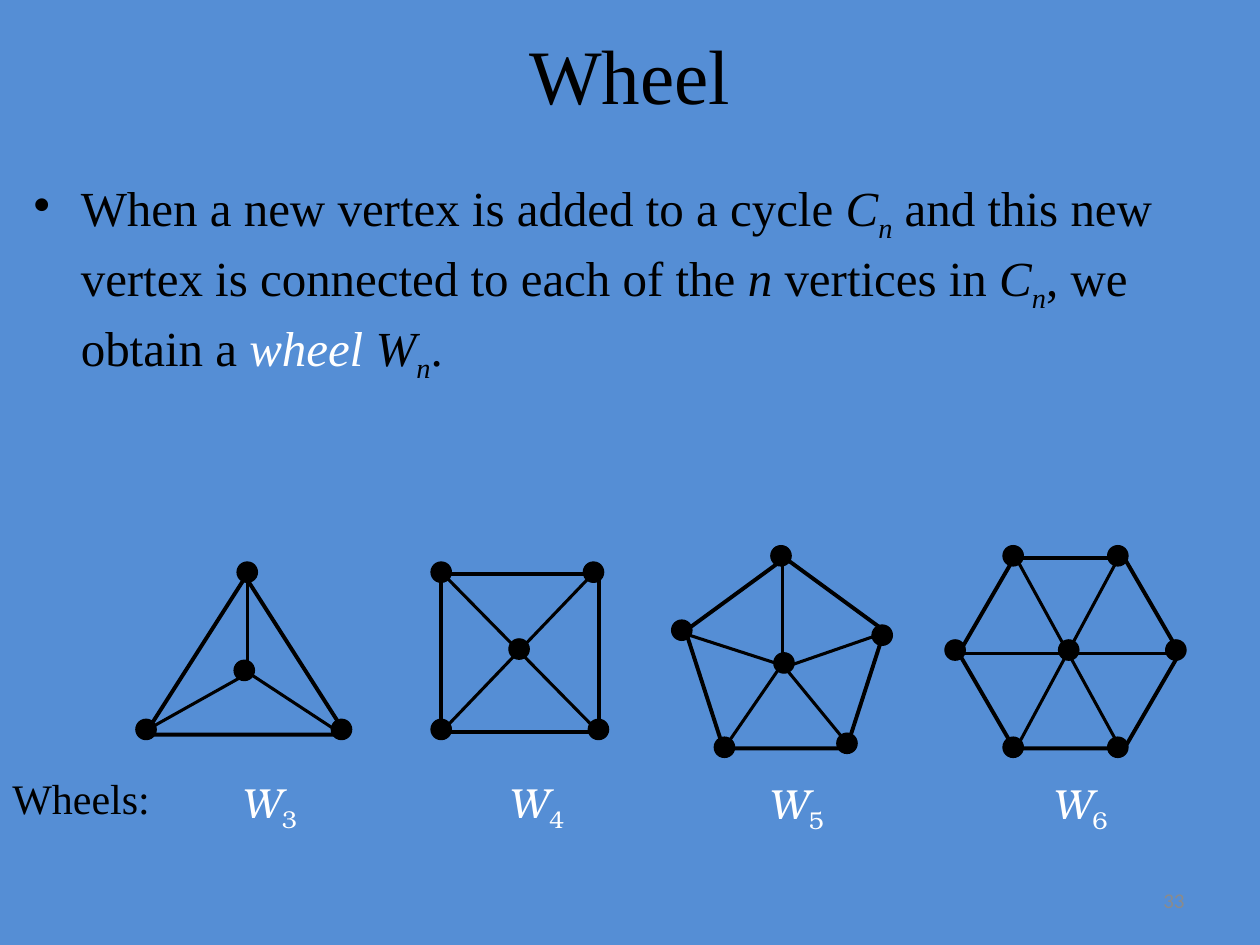
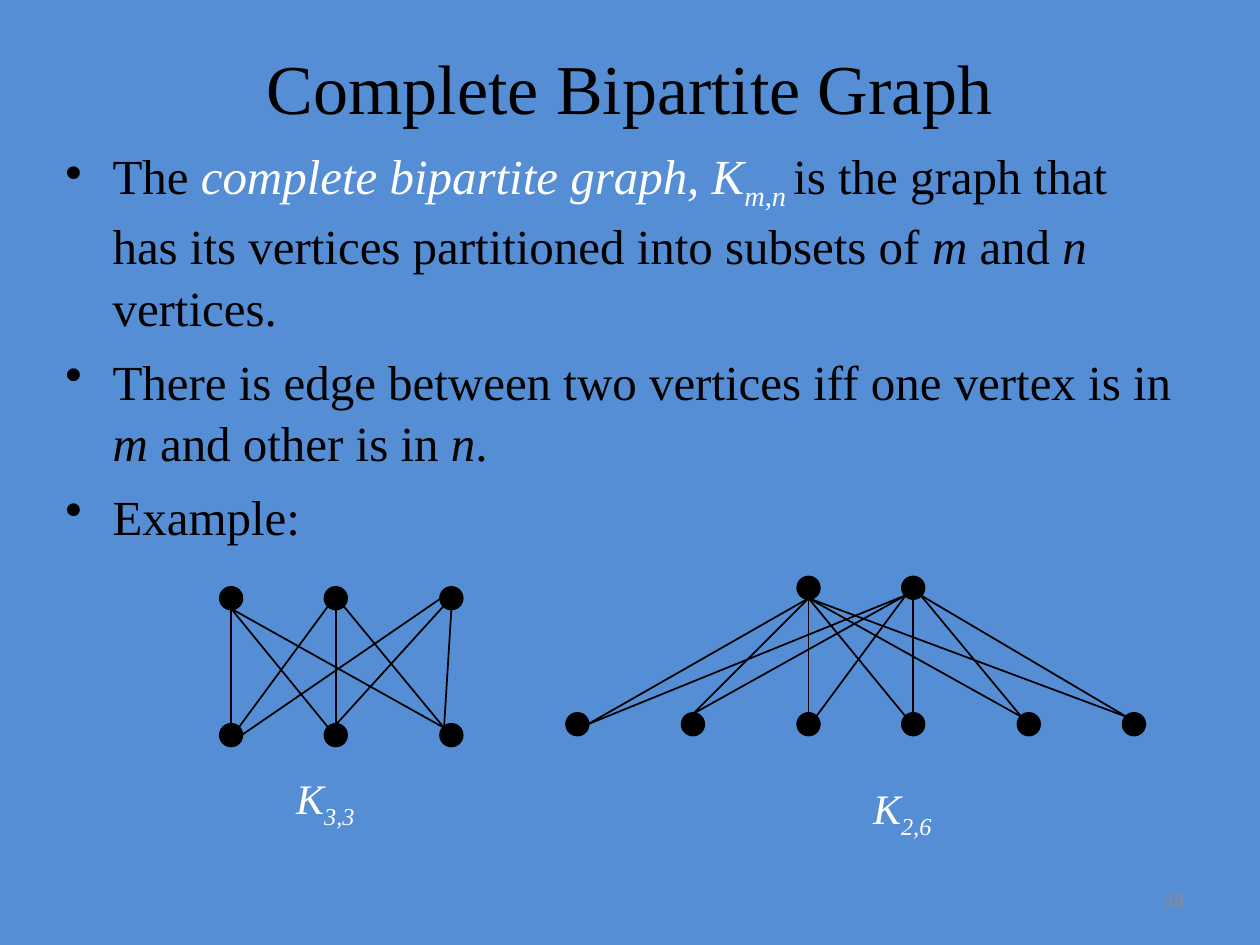
import math
from typing import NamedTuple

import pptx
import pptx.dml.color
import pptx.enum.shapes
import pptx.enum.text
import pptx.oxml
import pptx.oxml.ns
import pptx.util

Cm = pptx.util.Cm
RGBColor = pptx.dml.color.RGBColor
Preset = pptx.enum.shapes.MSO_SHAPE
Align = pptx.enum.text.PP_ALIGN
Anchor = pptx.enum.text.MSO_ANCHOR

SKY = RGBColor(0x55, 0x8E, 0xD5)
BLACK = RGBColor(0, 0, 0)
WHITE = RGBColor(0xFF, 0xFF, 0xFF)
GRAY = RGBColor(0x8B, 0x8B, 0x8B)
SERIF = "Times New Roman"
LABEL_SERIF = "TeX Gyre Bonum"
INDENT = 0.95
WHEEL_DOT = 0.41
BIPARTITE_DOT = 0.42

Point = tuple[float, float]
Box = tuple[float, float, float, float]


class Run(NamedTuple):
    text: str
    italic: bool = False
    sub: bool = False
    color: RGBColor = BLACK


class Wheel(NamedTuple):
    size: str
    outline: Preset
    outline_box: Box
    rim: list[Point]
    hub: Point
    spokes: list[Box]
    label_at: Point


class Edge(NamedTuple):
    top: int
    top_site: int
    bottom: int
    bottom_site: int


class Bipartite(NamedTuple):
    sizes: str
    top_y: float
    bottom_y: float
    top_xs: list[float]
    bottom_xs: list[float]
    edges: list[Edge]
    label_at: Point


WHEELS = [
    Wheel("3", Preset.ISOSCELES_TRIANGLE, (2.92, 11.63, 4.06, 3.18),
          [(2.74, 14.5), (4.78, 11.33), (6.68, 14.5)], (4.72, 13.31),
          [(4.98, 11.76, 4.98, 13.44), (4.93, 13.61, 3.02, 14.68),
           (5.05, 13.59, 6.71, 14.68)], (4.62, 15.52)),
    Wheel("4", Preset.RECTANGLE, (8.89, 11.58, 3.18, 3.18),
          [(8.69, 14.5), (8.69, 11.33), (11.76, 11.33), (11.86, 14.5)], (10.26, 12.88),
          [(11.89, 11.63, 8.97, 14.68), (8.99, 11.63, 11.99, 14.68)], (10.01, 15.52)),
    Wheel("5", Preset.REGULAR_PENTAGON, (13.82, 11.25, 4.01, 3.84),
          [(15.54, 11), (17.58, 12.6), (16.87, 14.78), (14.4, 14.86), (13.54, 12.5)],
          (15.6, 13.16),
          [(15.77, 11.33, 15.77, 13.26), (15.85, 13.49, 17.04, 14.94),
           (13.82, 12.78, 15.77, 13.41), (15.8, 13.34, 14.63, 15.04),
           (15.85, 13.44, 17.7, 12.8)], (15.24, 15.54)),
    Wheel("6", Preset.HEXAGON, (19.33, 11.25, 4.45, 3.84),
          [(23.5, 12.9), (22.33, 11), (22.33, 14.86), (20.22, 14.86), (19.05, 12.9),
           (20.22, 11)], (21.34, 12.9),
          [(20.5, 11.28, 22.56, 15.04), (22.53, 11.28, 20.5, 15.06),
           (23.55, 13.18, 19.35, 13.18)], (20.96, 15.54)),
]

TOP, TOP_LEFT, LEFT, BOTTOM_LEFT, BOTTOM, BOTTOM_RIGHT, RIGHT, TOP_RIGHT = range(8)

BIPARTITES = [
    Bipartite("3,3", 11.85, 14.61, [4.45, 6.56, 8.89], [4.45, 6.56, 8.89],
              [Edge(0, BOTTOM, 0, TOP), Edge(0, BOTTOM, 1, TOP_LEFT),
               Edge(0, BOTTOM, 2, TOP_LEFT), Edge(1, BOTTOM_LEFT, 0, TOP_RIGHT),
               Edge(1, BOTTOM, 1, TOP), Edge(1, BOTTOM_RIGHT, 2, TOP_LEFT),
               Edge(2, LEFT, 0, RIGHT), Edge(2, BOTTOM_LEFT, 1, TOP),
               Edge(2, BOTTOM, 2, TOP_LEFT)], (5.72, 15.45)),
    Bipartite("2,6", 11.64, 14.39, [16.09, 18.2],
              [11.43, 13.76, 16.09, 18.2, 20.53, 22.65],
              [Edge(0, BOTTOM, 0, RIGHT), Edge(0, BOTTOM, 1, TOP),
               Edge(0, BOTTOM, 2, TOP), Edge(0, BOTTOM, 3, TOP_LEFT),
               Edge(0, BOTTOM, 4, TOP_LEFT), Edge(0, BOTTOM, 5, TOP_LEFT),
               Edge(1, BOTTOM_LEFT, 0, RIGHT), Edge(1, BOTTOM_LEFT, 1, TOP),
               Edge(1, BOTTOM_LEFT, 2, TOP_RIGHT), Edge(1, BOTTOM, 3, TOP),
               Edge(1, BOTTOM_RIGHT, 4, TOP_LEFT),
               Edge(1, BOTTOM_RIGHT, 5, TOP_LEFT)], (17.35, 15.65)),
]

WHEEL_TEXT = [[
    Run("When a new vertex is added to a cycle "), Run("C", True), Run("n", True, True),
    Run(" and this new vertex is connected to each of the "), Run("n", True),
    Run(" vertices in "), Run("C", True), Run("n", True, True), Run(", we obtain a "),
    Run("wheel ", True, color=WHITE), Run("W", True), Run("n", True, True), Run("."),
]]
BIPARTITE_TEXT = [
    [Run("The "), Run("complete bipartite graph, K", True, color=WHITE),
     Run("m,n ", True, True, WHITE),
     Run("is the graph that has its vertices partitioned into subsets of "),
     Run("m", True), Run(" and "), Run("n", True), Run(" vertices.")],
    [Run("There is edge between two vertices iff one vertex is in "), Run("m", True),
     Run(" and other is in "), Run("n", True), Run(".")],
    [Run("Example:")],
]


def add_text(slide, box: Box, paragraphs: list[list[Run]], *, size: float,
             font: str | None = SERIF, align=Align.LEFT, anchor=Anchor.TOP,
             bullets: bool = False, wrap: bool = True, spacing: float = 1) -> None:
    frame = slide.shapes.add_textbox(*map(Cm, box)).text_frame
    frame.word_wrap = wrap
    frame.vertical_anchor = anchor
    for index, runs in enumerate(paragraphs):
        paragraph = frame.paragraphs[0] if index == 0 else frame.add_paragraph()
        paragraph.alignment = align
        paragraph.line_spacing = spacing
        if index:
            paragraph.space_before = pptx.util.Pt(7)
        if bullets:
            properties = paragraph._p.get_or_add_pPr()
            properties.set("marL", str(Cm(INDENT)))
            properties.set("indent", str(-Cm(INDENT)))
            color = pptx.oxml.parse_xml(
                f'<a:buClr {pptx.oxml.ns.nsdecls("a")}><a:srgbClr val="{BLACK}"/></a:buClr>')
            mark = pptx.oxml.parse_xml(f'<a:buChar {pptx.oxml.ns.nsdecls("a")} char="•"/>')
            properties.extend([color, mark])
        for part in runs:
            run = paragraph.add_run()
            run.text = part.text
            run.font.size = pptx.util.Pt(size)
            run.font.name = font
            run.font.italic = part.italic
            run.font.color.rgb = part.color
            if part.sub:
                run._r.get_or_add_rPr().set("baseline", "-25000")


def add_outlined(slide, preset: Preset, box: Box, weight: float, filled: bool = False):
    shape = slide.shapes.add_shape(preset, *map(Cm, box))
    shape.shadow.inherit = False
    if filled:
        shape.fill.solid()
        shape.fill.fore_color.rgb = BLACK
    else:
        shape.fill.background()
    shape.line.color.rgb = BLACK
    shape.line.width = pptx.util.Pt(weight)
    return shape


def add_vertex(slide, corner: Point, diameter: float, weight: float) -> None:
    add_outlined(slide, Preset.OVAL, (*corner, diameter, diameter), weight, filled=True)


def add_line(slide, ends: Box, weight: float) -> None:
    line = slide.shapes.add_connector(
        pptx.enum.shapes.MSO_CONNECTOR.STRAIGHT, *map(Cm, ends))
    line.line.color.rgb = BLACK
    line.line.width = pptx.util.Pt(weight)
    line._element.spPr.append(
        pptx.oxml.parse_xml(f'<a:effectLst {pptx.oxml.ns.nsdecls("a")}/>'))


def draw_wheel(slide, wheel: Wheel) -> None:
    outline = add_outlined(slide, wheel.outline, wheel.outline_box, 2.25)
    if wheel.outline == Preset.HEXAGON:
        outline.adjustments[0] = 0.29
    for vertex in [*wheel.rim, wheel.hub]:
        add_vertex(slide, vertex, WHEEL_DOT, 0.75)
    for spoke in wheel.spokes:
        add_line(slide, spoke, 1.75)
    add_text(slide, (*wheel.label_at, 1.63, 1.42),
             [[Run("W", True, color=WHITE), Run(wheel.size, sub=True, color=WHITE)]],
             size=24, font=LABEL_SERIF, wrap=False)


def site_point(x: float, y: float, site: int) -> Point:
    radius = BIPARTITE_DOT / 2
    angle = site * math.pi / 4
    return x + radius - radius * math.sin(angle), y + radius - radius * math.cos(angle)


def draw_bipartite(slide, graph: Bipartite) -> None:
    for xs, y in ((graph.top_xs, graph.top_y), (graph.bottom_xs, graph.bottom_y)):
        for x in xs:
            add_vertex(slide, (x, y), BIPARTITE_DOT, 2)
    for edge in graph.edges:
        start = site_point(graph.top_xs[edge.top], graph.top_y, edge.top_site)
        end = site_point(graph.bottom_xs[edge.bottom], graph.bottom_y, edge.bottom_site)
        add_line(slide, (*start, *end), 1)
    add_text(slide, (*graph.label_at, 2.12, 1.42),
             [[Run("K", True, color=WHITE), Run(graph.sizes, True, True, WHITE)]], size=24)


def add_graph_slide(deck, title: str, title_box: Box, title_size: float,
                    body: list[list[Run]], body_box: Box, number: str):
    slide = deck.slides.add_slide(deck.slide_layouts[6])
    slide.background.fill.solid()
    slide.background.fill.fore_color.rgb = SKY
    add_text(slide, title_box, [[Run(title)]], size=title_size,
             align=Align.CENTER, anchor=Anchor.MIDDLE)
    add_text(slide, body_box, body, size=28, bullets=True, spacing=1.05)
    add_text(slide, (18.2, 17.65, 5.93, 1.01), [[Run(number, color=GRAY)]], size=12,
             font=None, align=Align.RIGHT, anchor=Anchor.MIDDLE)
    return slide


def main() -> None:
    deck = pptx.Presentation()
    deck.slide_width, deck.slide_height = Cm(25.4), Cm(19.05)

    wheel_slide = add_graph_slide(deck, "Wheel", (1.27, 0.43, 22.86, 2.11), 44,
                                  WHEEL_TEXT, (0.43, 3.38, 24.13, 5.51), "33")
    for wheel in WHEELS:
        draw_wheel(wheel_slide, wheel)
    add_text(wheel_slide, (0, 15.45, 3.81, 1.27), [[Run("Wheels:")]], size=24)

    bipartite_slide = add_graph_slide(
        deck, "Complete Bipartite Graph", (1.27, 0.76, 22.86, 1.98), 40,
        BIPARTITE_TEXT, (1.07, 2.74, 22.86, 8.05), "38")
    for graph in BIPARTITES:
        draw_bipartite(bipartite_slide, graph)

    deck.save("out.pptx")


if __name__ == "__main__":
    main()
